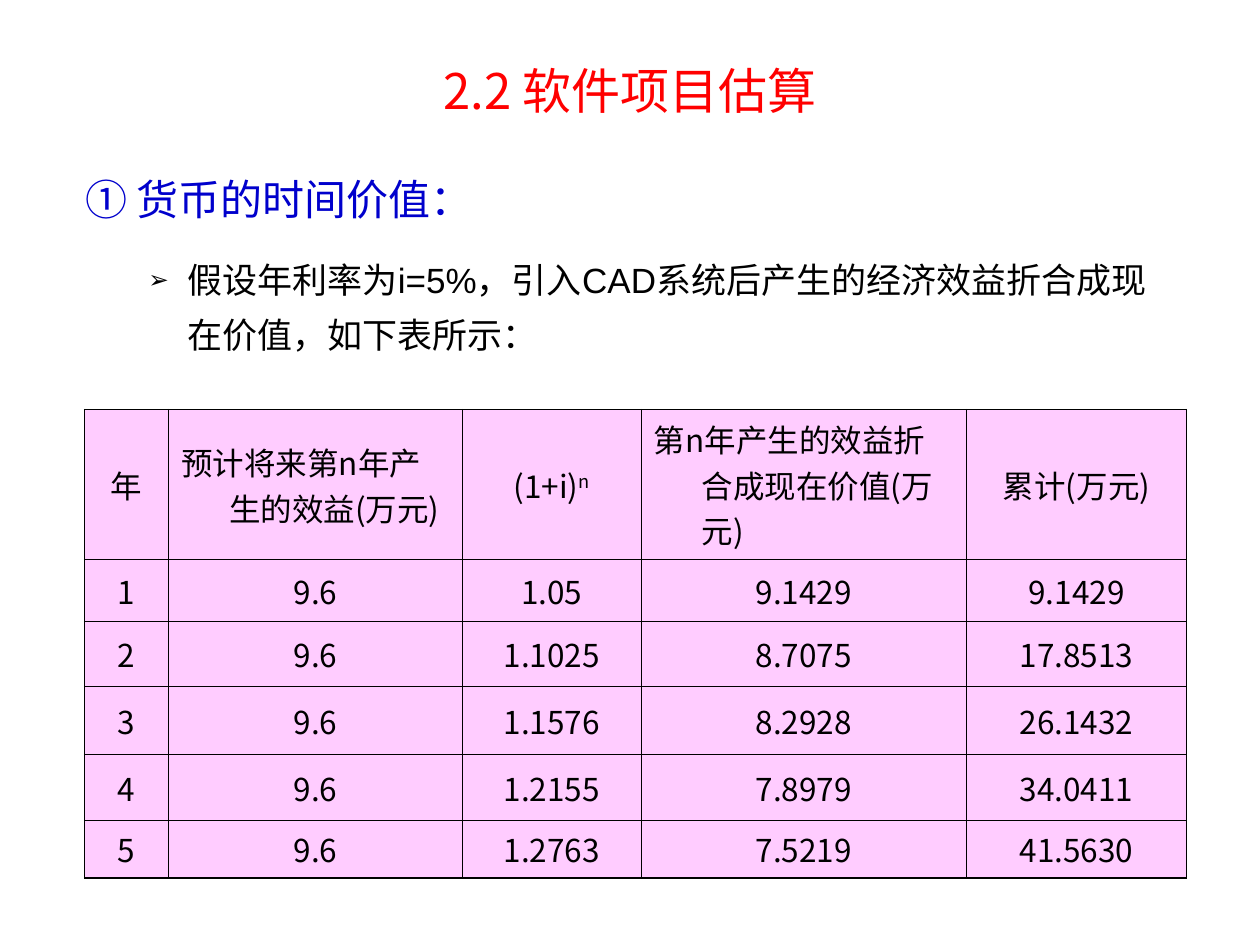
import pptx
import pptx.dml.color
import pptx.enum.text
import pptx.oxml.ns
import pptx.util
import lxml.etree

Inches = pptx.util.Inches
Pt = pptx.util.Pt
MIDDLE = pptx.enum.text.MSO_ANCHOR.MIDDLE
CENTER = pptx.enum.text.PP_ALIGN.CENTER
LEFT = pptx.enum.text.PP_ALIGN.LEFT
CJK = "Noto Sans CJK SC"
COLS = [0.67, 2.33, 1.42, 2.58, 1.75]
ROWS = [1.19, 0.49, 0.52, 0.54, 0.52, 0.46]
HEADS = ["年", "预计将来第n年产生的效益(万元)", "(1+i)",
         "第n年产生的效益折合成现在价值(万元)", "累计(万元)"]
GAIN = "9.6"
VALUES = [
    ("1.05", "9.1429", "9.1429"),
    ("1.1025", "8.7075", "17.8513"),
    ("1.1576", "8.2928", "26.1432"),
    ("1.2155", "7.8979", "34.0411"),
    ("1.2763", "7.5219", "41.5630"),
]


def color(text):
    """Turn a hex string into a colour."""
    return pptx.dml.color.RGBColor.from_string(text)


def add(parent, tag, **attrs):
    """Append a DrawingML element and return it."""
    return lxml.etree.SubElement(parent, pptx.oxml.ns.qn(tag), attrs)


def style(para, size, hue, latin=CJK, align=LEFT):
    """Set the font and alignment of a paragraph."""
    para.alignment = align
    font = para.font
    font.size = Pt(size)
    font.color.rgb = color(hue)
    font.name = latin
    add(para._p.pPr.find(pptx.oxml.ns.qn("a:defRPr")), "a:ea", typeface=CJK)


def hang(para, margin, indent):
    """Give a paragraph a hanging indent."""
    props = para._p.get_or_add_pPr()
    props.set("marL", str(Inches(margin)))
    props.set("indent", str(Inches(-indent)))


def bullet(para, char):
    """Put a small black bullet before a paragraph."""
    props = para._p.get_or_add_pPr()
    add(add(props, "a:buClr"), "a:srgbClr", val="000000")
    add(props, "a:buSzPct", val="70000")
    add(props, "a:buFont", typeface="Arial")
    add(props, "a:buChar", char=char)


def add_frame(slide, left, top, width, height):
    """Add a wrapping text box and return its text frame."""
    box = slide.shapes.add_textbox(
        Inches(left), Inches(top), Inches(width), Inches(height))
    box.text_frame.word_wrap = True
    return box.text_frame


def add_title(slide, left, top, width, height):
    """Add the centred red title."""
    frame = add_frame(slide, left, top, width, height)
    frame.vertical_anchor = MIDDLE
    para = frame.paragraphs[0]
    para.text = "2.2 软件项目估算"
    style(para, 28, "FF0000", align=CENTER)


def add_body(slide, left, top, width, height):
    """Add the blue heading and its bulleted point."""
    frame = add_frame(slide, left, top, width, height)
    head = frame.paragraphs[0]
    head.text = "① 货币的时间价值："
    hang(head, 0.38, 0.38)
    head.space_before = Pt(6)
    style(head, 24, "0000CC", "Arial")
    point = frame.add_paragraph()
    point.text = "假设年利率为i=5%，引入CAD系统后产生的经济效益折合成现在价值，如下表所示："
    hang(point, 0.81, 0.31)
    point.line_spacing = 1.3
    point.space_before = Pt(12.5)
    bullet(point, "➢")
    style(point, 20, "000000", "Arial")


def border(cell):
    """Draw thin black lines on all sides of a cell."""
    props = cell._tc.get_or_add_tcPr()
    for side in ("a:lnL", "a:lnR", "a:lnT", "a:lnB"):
        line = add(props, side, w=str(Pt(0.75)))
        add(add(line, "a:solidFill"), "a:srgbClr", val="000000")


def fill_cell(cell, text, align):
    """Write and style one table cell."""
    border(cell)
    cell.fill.solid()
    cell.fill.fore_color.rgb = color("FFCCFF")
    cell.vertical_anchor = MIDDLE
    para = cell.text_frame.paragraphs[0]
    para.text = text
    hang(para, 0.38, 0.38)
    style(para, 18, "000000", align=align)


def add_grid(slide, left, top):
    """Add the table of present values by year."""
    table = slide.shapes.add_table(
        len(ROWS), len(COLS), Inches(left), Inches(top),
        Inches(sum(COLS)), Inches(sum(ROWS))).table
    for col, width in zip(table.columns, COLS):
        col.width = Inches(width)
    for row, height in zip(table.rows, ROWS):
        row.height = Inches(height)
    lines = [HEADS] + [(str(year), GAIN, *vals)
                       for year, vals in enumerate(VALUES, 1)]
    for r, line in enumerate(lines):
        for c, text in enumerate(line):
            align = LEFT if r == 0 and c in (1, 3) else CENTER
            fill_cell(table.cell(r, c), text, align)
    power = table.cell(0, 2).text_frame.paragraphs[0].add_run()
    power.text = "n"
    power._r.get_or_add_rPr().set("baseline", "30000")


def main():
    """Build and save the slide."""
    deck = pptx.Presentation()
    deck.slide_width, deck.slide_height = Inches(10), Inches(7.5)
    slide = deck.slides.add_slide(deck.slide_layouts[6])
    add_body(slide, 0.58, 1.33, 8.83, 1.75)
    add_grid(slide, 0.67, 3.25)
    add_title(slide, 0.5, 0.25, 9, 0.92)
    deck.save("out.pptx")


if __name__ == "__main__":
    main()
